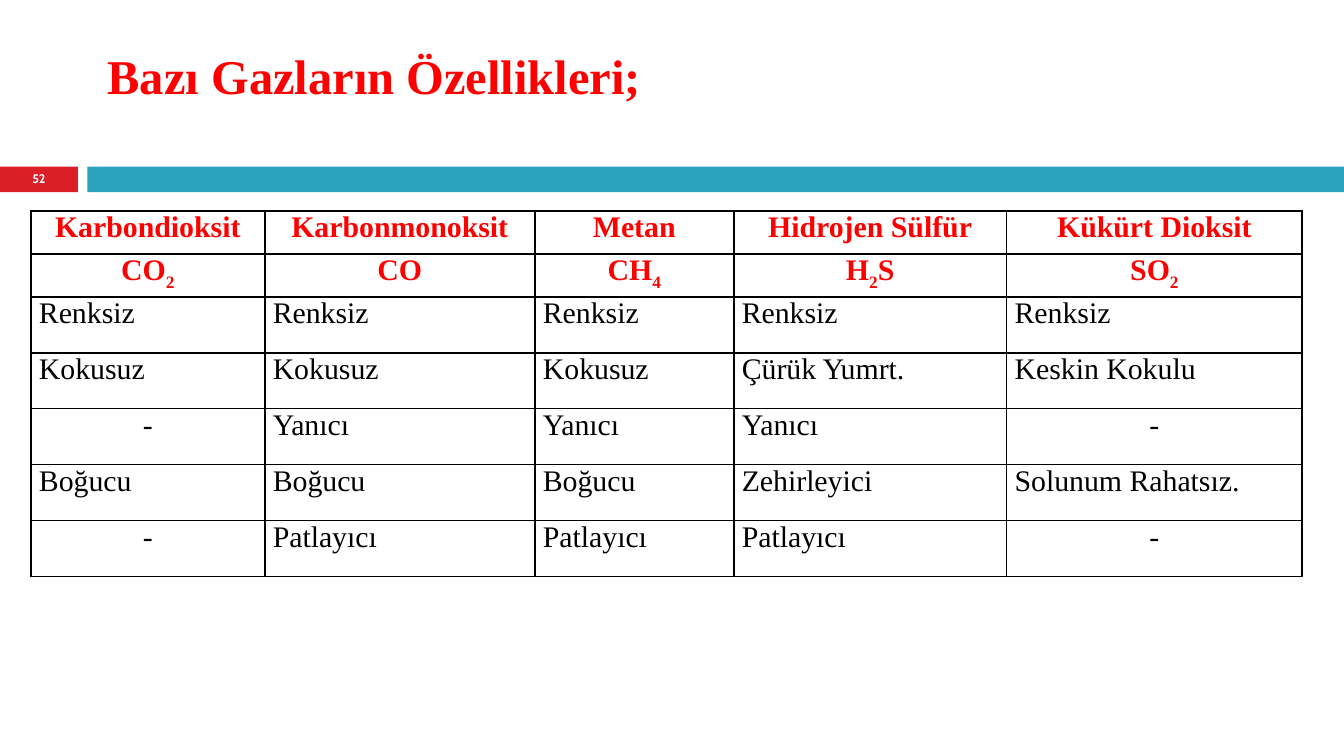
from itertools import groupby

from lxml import etree
from pptx import Presentation
from pptx.dml.color import RGBColor
from pptx.enum import shapes, text
from pptx.oxml.ns import qn
from pptx.util import Inches, Pt

HUES = {"red": "FF0000", "tag": "DA1F28", "bar": "2DA2BF",
        "ink": "000000", "white": "FFFFFF"}
SERIF = "Times New Roman"
WIDE = 10
TALL = WIDE * 9 / 16
COLS = [1.74, 2.01, 1.48, 2.03, 2.2]
HEADS = 2
ROWS = [0.32] * HEADS + [2.08 / 5] * 5
GASES = [
    ["Karbondioksit", "Karbonmonoksit", "Metan", "Hidrojen Sülfür", "Kükürt Dioksit"],
    ["CO2", "CO", "CH4", "H2S", "SO2"],
    ["Renksiz"] * 5,
    ["Kokusuz"] * 3 + ["Çürük Yumrt.", "Keskin Kokulu"],
    ["-"] + ["Yanıcı"] * 3 + ["-"],
    ["Boğucu"] * 3 + ["Zehirleyici", "Solunum Rahatsız."],
    ["-"] + ["Patlayıcı"] * 3 + ["-"],
]


def box(*dims):
    return [Inches(d) for d in dims]


def style(font, size, hue, bold=True, face=SERIF):
    font.size, font.bold, font.name = Pt(size), bold, face
    font.color.rgb = RGBColor.from_string(HUES[hue])


def add_title(slide, words):
    title = slide.shapes.title
    title.left, title.top, title.width, title.height = box(0.7, 0.29, 4.21, 0.54)
    frame = title.text_frame
    frame.text = words
    frame.word_wrap = False
    frame.auto_size = text.MSO_AUTO_SIZE.NONE
    frame.vertical_anchor = text.MSO_ANCHOR.TOP
    para = frame.paragraphs[0]
    para.alignment = text.PP_ALIGN.LEFT
    style(para.runs[0].font, 26, "red")


def add_bar(slide, left, width, hue):
    bar = slide.shapes.add_shape(shapes.MSO_SHAPE.RECTANGLE,
                                 *box(left, 1.24, width, 0.19))
    bar.shadow.inherit = False
    bar.fill.solid()
    bar.fill.fore_color.rgb = RGBColor.from_string(HUES[hue])
    bar.line.fill.background()


def add_number(slide, words):
    frame = slide.shapes.add_textbox(*box(0, 1.23, 0.58, 0.2)).text_frame
    frame.text = words
    frame.word_wrap = True
    frame.margin_top = frame.margin_bottom = 0
    frame.vertical_anchor = text.MSO_ANCHOR.MIDDLE
    para = frame.paragraphs[0]
    para.alignment = text.PP_ALIGN.CENTER
    style(para.runs[0].font, 6.7, "white", face="Cabin")


def add_edges(cell):
    props = cell._tc.get_or_add_tcPr()
    for side in ("lnL", "lnR", "lnT", "lnB"):
        line = etree.SubElement(props, qn("a:" + side), w=str(Pt(1)))
        fill = etree.SubElement(line, qn("a:solidFill"))
        etree.SubElement(fill, qn("a:srgbClr"), val=HUES["ink"])


def fill_cell(cell, words, head):
    add_edges(cell)
    cell.fill.background()
    cell.margin_left = cell.margin_right = Inches(0.06)
    cell.margin_top = cell.margin_bottom = 0
    para = cell.text_frame.paragraphs[0]
    mid = head or words == "-"
    para.alignment = text.PP_ALIGN.CENTER if mid else text.PP_ALIGN.LEFT
    # Digits in a formula become subscripts
    for low, part in groupby(words, str.isdigit):
        run = para.add_run()
        run.text = "".join(part)
        style(run.font, 16, "red" if head else "ink", head)
        if low:
            run._r.get_or_add_rPr().set("baseline", "-25000")


def add_grid(slide):
    frame = slide.shapes.add_table(len(ROWS), len(COLS),
                                   *box(0.23, 1.57, sum(COLS), sum(ROWS)))
    table = frame.table
    table.first_row = table.horz_banding = False
    for col, width in zip(table.columns, COLS):
        col.width = Inches(width)
    for r, (row, tall) in enumerate(zip(table.rows, ROWS)):
        row.height = Inches(tall)
        for cell, words in zip(row.cells, GASES[r]):
            fill_cell(cell, words, r < HEADS)


def main():
    deck = Presentation()
    deck.slide_width, deck.slide_height = box(WIDE, TALL)
    slide = deck.slides.add_slide(deck.slide_layouts[5])
    add_title(slide, "Bazı Gazların Özellikleri;")
    # Divider with the page number
    add_bar(slide, 0, 0.58, "tag")
    add_bar(slide, 0.65, WIDE - 0.65, "bar")
    add_number(slide, "52")
    # Table of gas properties
    add_grid(slide)
    deck.save("out.pptx")


if __name__ == "__main__":
    main()
